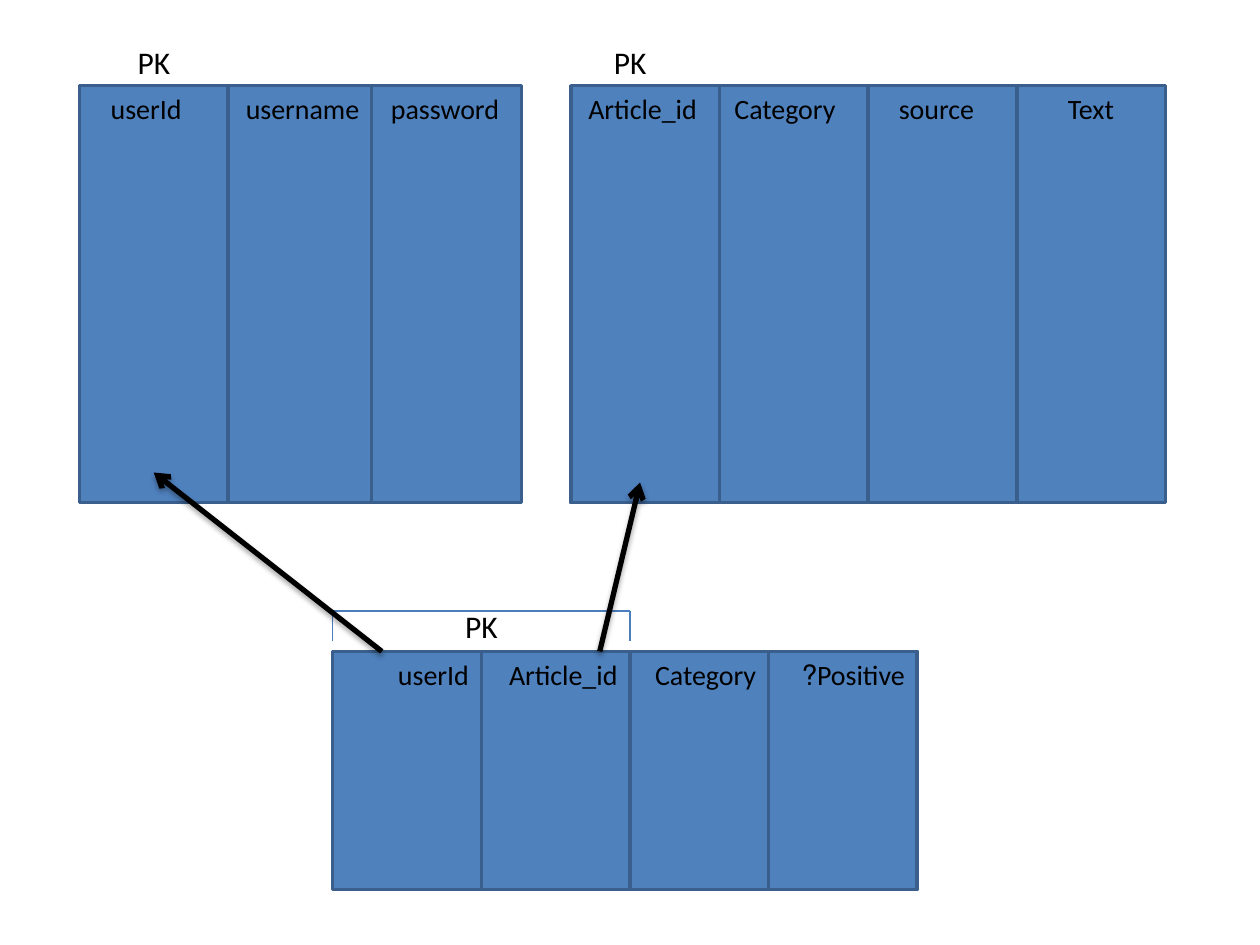
from pptx import Presentation
from pptx.dml.color import RGBColor
from pptx.enum.shapes import MSO_CONNECTOR, MSO_SHAPE
from pptx.enum.text import PP_ALIGN
from pptx.oxml import parse_xml
from pptx.oxml.ns import nsdecls
from pptx.util import Inches, Pt

BLUE, EDGE, BRACKET, BLACK = "4F81BD", "3A5F8C", "4B7EBC", "000000"
FONT = "Calibri"
LABEL_WIDTH, LABEL_HEIGHT = 1.26, 0.37
KEY_WIDTH, KEY_HEIGHT = 0.47, 0.4

# Each column: name, width, gap between its right edge and its label's
USER_COLUMNS = [("userId", 1.18, 0.27), ("username", 1.14, 0), ("password", 1.19, 0.08)]
ARTICLE_COLUMNS = [("Article_id", 1.18, 0.08), ("Category", 1.18, 0.16),
                   ("source", 1.18, 0.24), ("Text", 1.18, 0.31)]
RATING_COLUMNS = [("userId", 1.18, 0), ("Article_id", 1.18, 0),
                  ("Category", 1.1, 0), ("Positive?", 1.18, 0)]

SHADOW = (
    f'<a:effectLst {nsdecls("a")}><a:outerShdw blurRad="{Pt(3.1)}" dist="{Pt(1.8)}" '
    'dir="5400000" rotWithShape="0"><a:srgbClr val="000000"><a:alpha val="35000"/>'
    "</a:srgbClr></a:outerShdw></a:effectLst>"
)
NO_SHADOW = f'<a:effectLst {nsdecls("a")}/>'


def color(value):
    return RGBColor.from_string(value)


def add_text(page, left, top, width, height, text, size, wrap=True):
    """Add one line of right-to-left text, aligned to the right."""
    box = page.shapes.add_textbox(Inches(left), Inches(top), Inches(width), Inches(height))
    box.text_frame.word_wrap = wrap
    para = box.text_frame.paragraphs[0]
    para.alignment = PP_ALIGN.RIGHT
    para._p.get_or_add_pPr().set("rtl", "1")
    span = para.add_run()
    span.text = text
    span.font.name = FONT
    span.font.size = Pt(size)
    span.font.color.rgb = color(BLACK)


def add_key(page, left, top):
    add_text(page, left, top, KEY_WIDTH, KEY_HEIGHT, "PK", 18, wrap=False)


def add_entity(page, left, top, height, columns):
    """Draw a database table as adjoining columns, each headed by its name."""
    for name, width, gap in columns:
        body = page.shapes.add_shape(MSO_SHAPE.RECTANGLE, Inches(left), Inches(top),
                                     Inches(width), Inches(height))
        body.shadow.inherit = False
        body.fill.solid()
        body.fill.fore_color.rgb = color(BLUE)
        body.line.color.rgb = color(EDGE)
        body.line.width = Pt(2)
        left += width
        add_text(page, left - gap - LABEL_WIDTH, top, LABEL_WIDTH, LABEL_HEIGHT, name, 16)


def add_line(page, start, end, line_color, width, effects=NO_SHADOW):
    line = page.shapes.add_connector(MSO_CONNECTOR.STRAIGHT, *map(Inches, start + end))
    line.line.color.rgb = color(line_color)
    line.line.width = Pt(width)
    line._element.spPr.append(parse_xml(effects))
    return line


def add_arrow(page, start, end):
    arrow = add_line(page, start, end, BLACK, 3, SHADOW)
    arrow.line._get_or_add_ln().append(
        parse_xml(f'<a:tailEnd {nsdecls("a")} type="arrow"/>'))


def add_key_bracket(page, left, top, width, height):
    right, bottom = left + width, top + height
    corners = [(left, bottom), (left, top), (right, top), (right, bottom)]
    for start, end in zip(corners, corners[1:]):
        add_line(page, start, end, BRACKET, 0.75)
    add_key(page, left + 0.94, top - 0.08)


def main():
    deck = Presentation()
    deck.slide_width, deck.slide_height = Inches(10), Inches(7.5)
    page = deck.slides.add_slide(deck.slide_layouts[6])

    add_entity(page, 0.63, 0.68, 3.31, USER_COLUMNS)
    add_entity(page, 4.53, 0.68, 3.31, ARTICLE_COLUMNS)
    add_entity(page, 2.64, 5.17, 1.89, RATING_COLUMNS)
    for left in (0.98, 4.76):
        add_key(page, left, 0.29)
    add_key_bracket(page, 2.64, 4.85, 2.36, 0.24)
    add_arrow(page, (3.03, 5.17), (1.22, 3.75))
    add_arrow(page, (4.76, 5.17), (5.08, 3.83))

    deck.save("out.pptx")


if __name__ == "__main__":
    main()
